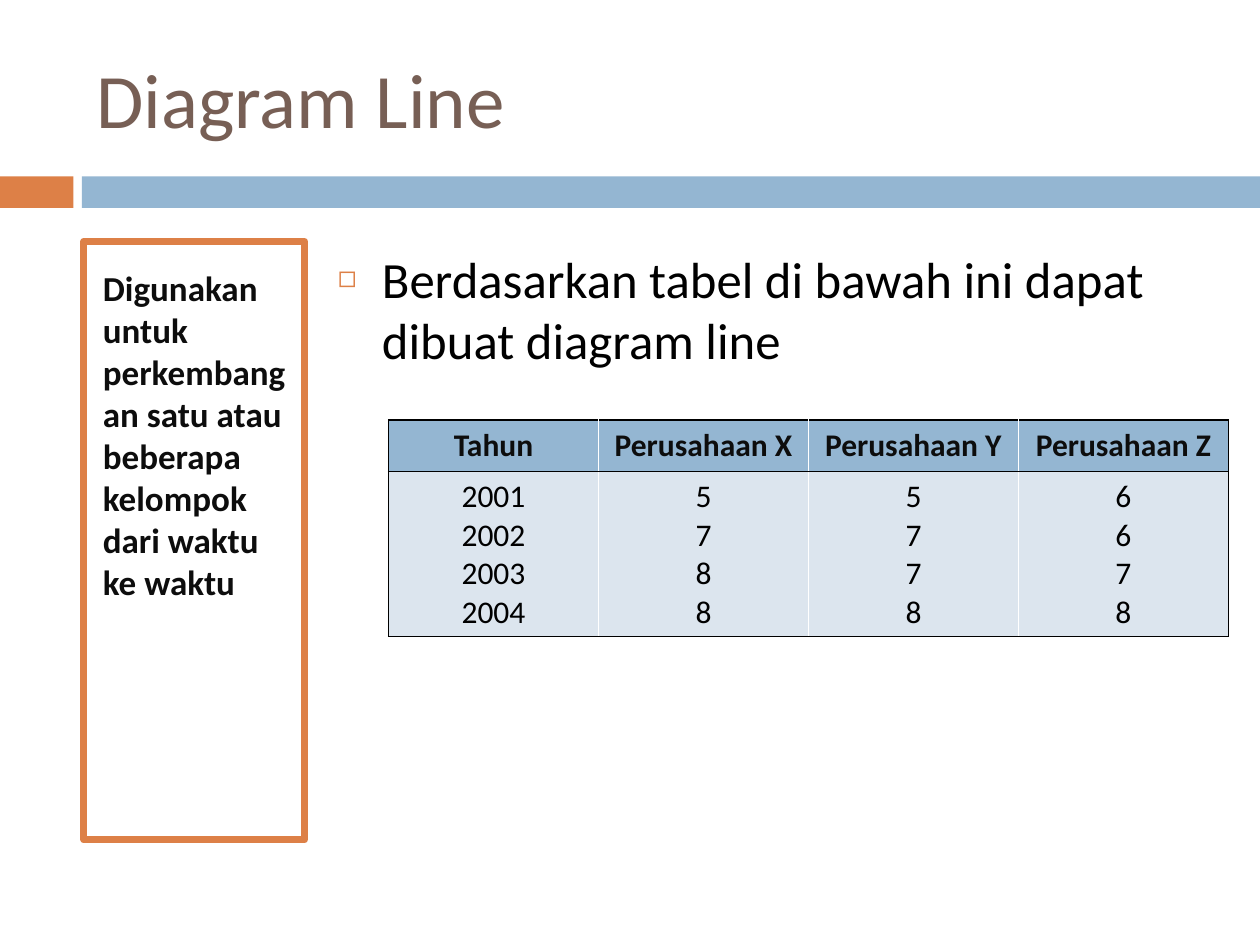
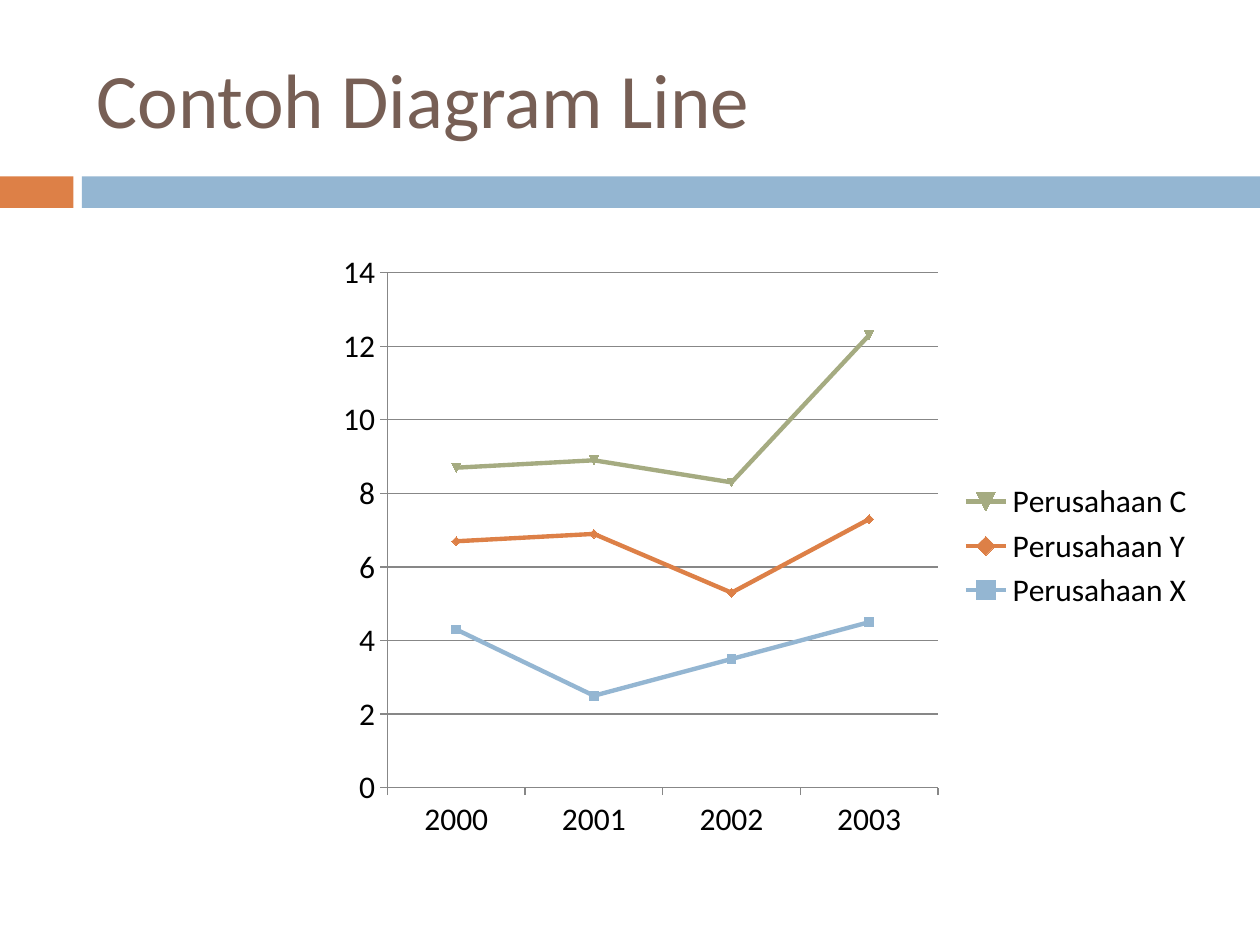
from pptx import Presentation
from pptx.chart.data import CategoryChartData
from pptx.dml.color import RGBColor
from pptx.enum.chart import XL_CHART_TYPE as ChartType, XL_LEGEND_POSITION as LegendPosition, XL_TICK_MARK as TickMark
from pptx.enum.shapes import MSO_SHAPE as Shape
from pptx.enum.text import MSO_ANCHOR as Anchor, PP_ALIGN as Align
from pptx.util import Inches, Pt
from lxml.etree import SubElement
from pptx.oxml.ns import qn

COLORS = {name: RGBColor.from_string(value) for name, value in {
    "orange": "DD8047", "blue": "94B6D2", "green": "A5AB81", "pale": "DCE5EE",
    "brown": "775F55", "ink": "0D0D0D", "black": "000000", "white": "FFFFFF",
    "grey": "878787"}.items()}
FONT = "Calibri"

deck = Presentation()
deck.slide_width, deck.slide_height = Inches(10), Inches(7.5)
unit = deck.slide_width / 120


def grid(*cells):
    return [round(cell * unit) for cell in cells]


def write(paragraph, text, size, color, bold=False):
    run = paragraph.add_run()
    run.text = text
    run.font.name, run.font.size, run.font.bold = FONT, Pt(size), bold
    run.font.color.rgb = COLORS[color]


content_area = grid(31, 23, 84, 58)
slides = []
for heading in ("Diagram Line", "Contoh Diagram Line"):
    slide = deck.slides.add_slide(deck.slide_layouts[5])
    for left, width, color in ((0, 7, "orange"), (7.8, 112.2, "blue")):
        band = slide.shapes.add_shape(Shape.RECTANGLE, *grid(left, 16.8, width, 3))
        band.shadow.inherit = False
        band.fill.solid()
        band.fill.fore_color.rgb = COLORS[color]
        band.line.fill.background()
    title = slide.shapes.title
    title.left, title.top, title.width, title.height = grid(8, 3.6, 106, 11.4)
    title.text_frame.vertical_anchor = Anchor.MIDDLE
    title.text_frame.paragraphs[0].alignment = Align.LEFT
    write(title.text_frame.paragraphs[0], heading, 44, "brown")
    slides.append(slide)
table_slide, chart_slide = slides

usage = table_slide.shapes.add_shape(Shape.RECTANGLE, *grid(8, 23, 21, 57))
usage.shadow.inherit = False
usage.fill.solid()
usage.fill.fore_color.rgb = COLORS["white"]
usage.line.color.rgb = COLORS["orange"]
usage.line.width = Pt(4)
frame = usage.text_frame
frame.word_wrap = True
frame.vertical_anchor = Anchor.TOP
frame.margin_left = frame.margin_right = Inches(0.15)
frame.margin_top, frame.margin_bottom = Inches(0.2), Inches(0.1)
paragraph = frame.paragraphs[0]
paragraph.alignment = Align.LEFT
paragraph.space_before, paragraph.space_after = Pt(7), Pt(10)
write(paragraph, "Digunakan untuk perkembangan satu atau beberapa kelompok dari waktu ke waktu",
      20, "ink", True)

intro = table_slide.shapes.add_textbox(*content_area).text_frame
intro.word_wrap = True
paragraph = intro.paragraphs[0]
paragraph.space_before = Pt(7)
write(paragraph, "Berdasarkan tabel di bawah ini dapat dibuat diagram line", 29, "black")
properties = paragraph._p.get_or_add_pPr()
properties.set("marL", str(Inches(0.35)))
properties.set("indent", str(-Inches(0.35)))
bullet_color = SubElement(properties, qn("a:buClr"))
SubElement(bullet_color, qn("a:srgbClr"), val=str(COLORS["orange"]))
SubElement(properties, qn("a:buSzPct"), val="60000")
SubElement(properties, qn("a:buFont"), typeface=FONT)
SubElement(properties, qn("a:buChar"), char="\u25fb")

yearly = [("Tahun", ("2001", "2002", "2003", "2004")),
          ("Perusahaan X", "5788"),
          ("Perusahaan Y", "5778"),
          ("Perusahaan Z", "6678")]
table = table_slide.shapes.add_table(2, len(yearly), *grid(37, 40, 80, 20.6)).table
table.rows[0].height, table.rows[1].height = grid(4.9, 15.7)
last = len(yearly) - 1
for column, (name, values) in enumerate(yearly):
    for row, (lines, fill, ink) in enumerate((([name], "blue", "ink"), (values, "pale", "black"))):
        cell = table.cell(row, column)
        cell.fill.solid()
        cell.fill.fore_color.rgb = COLORS[fill]
        for index, text in enumerate(lines):
            paragraph = cell.text_frame.add_paragraph() if index else cell.text_frame.paragraphs[0]
            paragraph.alignment = Align.CENTER
            write(paragraph, text, 18, ink, row == 0)
        borders = {"L": "white" if column else "black",
                   "R": "white" if column < last else "black",
                   "T": "black", "B": "black"}
        cell_properties = cell._tc.get_or_add_tcPr()
        for place, (side, color) in enumerate(borders.items()):
            border = SubElement(cell_properties, qn(f"a:ln{side}"), w=str(Pt(1)))
            border_fill = SubElement(border, qn("a:solidFill"))
            SubElement(border_fill, qn("a:srgbClr"), val=str(COLORS[color]))
            cell_properties.insert(place, border)

growth = CategoryChartData()
growth.categories = ["2000", "2001", "2002", "2003"]
companies = [("Perusahaan X", (4.3, 2.5, 3.5, 4.5), "blue"),
             ("Perusahaan Y", (2.4, 4.4, 1.8, 2.8), "orange"),
             ("Perusahaan C", (2, 2, 3, 5), "green")]
for name, values, color in companies:
    growth.add_series(name, values)
chart = chart_slide.shapes.add_chart(ChartType.LINE_MARKERS_STACKED, *content_area, growth).chart
chart.has_title = False
chart.font.name, chart.font.size = FONT, Pt(18)
chart.font.color.rgb = COLORS["black"]
chart.has_legend = True
chart.legend.position = LegendPosition.RIGHT
chart.legend.include_in_layout = False
chart.plots[0].vary_by_categories = False
for axis in (chart.category_axis, chart.value_axis):
    axis.major_tick_mark = TickMark.OUTSIDE
    axis.minor_tick_mark = TickMark.NONE
    axis.format.line.color.rgb = COLORS["grey"]
chart.value_axis.has_major_gridlines = True
chart.value_axis.major_gridlines.format.line.color.rgb = COLORS["grey"]
for series, (name, values, color) in zip(chart.plots[0].series, companies):
    series.smooth = False
    series.format.line.color.rgb = COLORS[color]
    series.format.line.width = Pt(2.5)
    series.marker.format.fill.solid()
    series.marker.format.fill.fore_color.rgb = COLORS[color]
    series.marker.format.line.color.rgb = COLORS[color]

deck.save("out.pptx")
